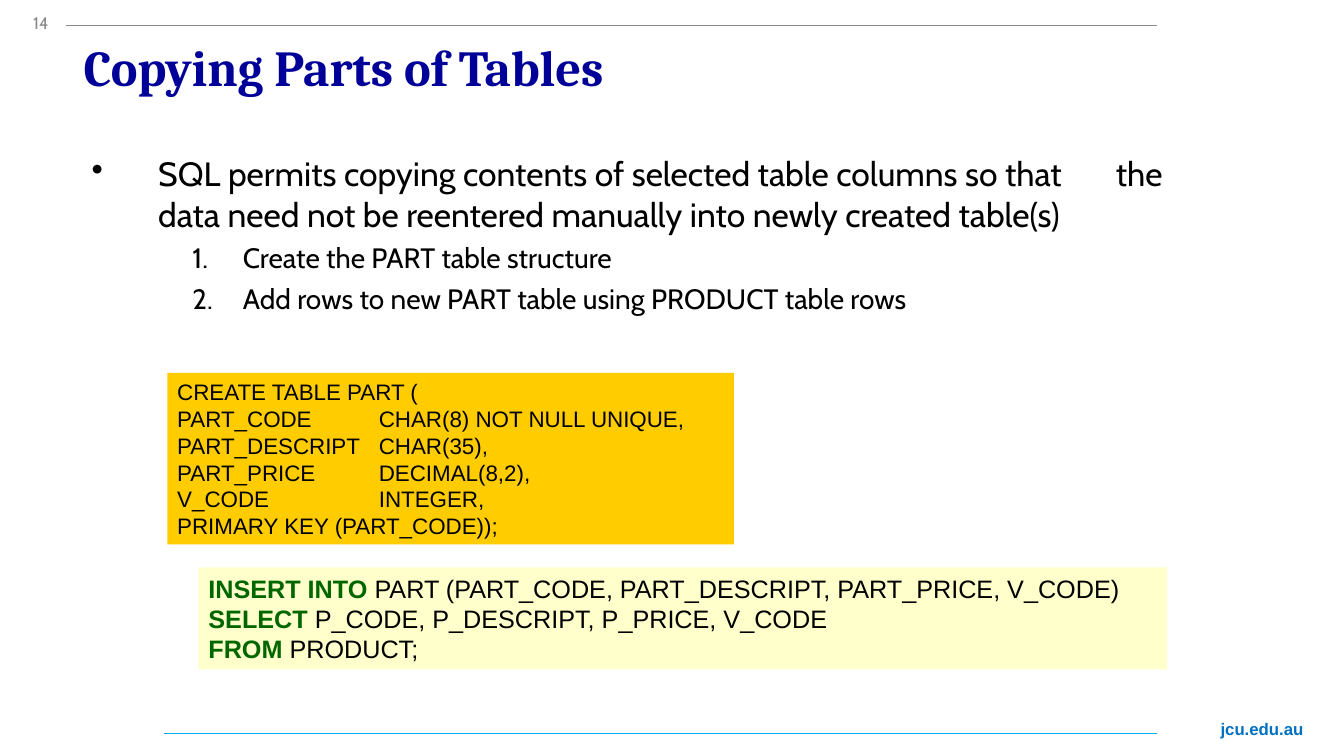
from dataclasses import dataclass

from lxml.etree import SubElement
from pptx import Presentation
from pptx.dml.color import RGBColor
from pptx.enum.shapes import MSO_CONNECTOR, MSO_SHAPE
from pptx.enum.text import MSO_ANCHOR, PP_ALIGN
from pptx.oxml.ns import qn
from pptx.util import Inches, Pt


@dataclass(frozen=True)
class Theme:
    heading_font: str = "Cambria"
    body_font: str = "Cabin"
    code_font: str = "Arial"
    heading: str = "000099"
    ink: str = "000000"
    keyword: str = "006600"
    muted: str = "898989"
    site: str = "0070C0"
    footer_rule: str = "00B0F0"
    create_fill: str = "FFCC00"
    insert_fill: str = "FFFFCC"
    title_size: int = 36
    point_size: int = 24
    step_size: int = 20
    insert_size: int = 18
    create_size: int = 16
    small_size: int = 12


@dataclass(frozen=True)
class Area:
    """Place and size in percent of the slide's width and height."""
    left: float
    top: float
    width: float
    height: float


@dataclass(frozen=True)
class Style:
    font: str
    size: int
    color: str
    bold: bool = False


@dataclass(frozen=True)
class Label:
    area: Area
    text: str
    style: Style
    line_spacing: float = 1.0


@dataclass(frozen=True)
class Rule:
    start: float
    end: float
    height: float
    color: str


@dataclass(frozen=True)
class ListItem:
    phrases: tuple[str, ...]
    level: int
    margin: float
    hanging: float
    space_before: int
    bullet: tuple[str, str, str]
    size: int


@dataclass(frozen=True)
class CodeBox:
    """Each line is a leading keyword, possibly empty, and the rest."""
    area: Area
    fill: str
    size: int
    lines: tuple[tuple[str, str], ...]


THEME = Theme()
WIDTH, HEIGHT = Inches(13.33), Inches(7.5)
WORD_GAP = Pt(33)
CODE_TAB = Inches(2)

LABELS = (
    Label(Area(90.08, 94.4, 7.88, 4), "jcu.edu.au",
          Style(THEME.code_font, THEME.small_size, THEME.site, True)),
    Label(Area(5.48, 5.07, 63.75, 10.53), "Copying Parts of Tables",
          Style(THEME.heading_font, THEME.title_size, THEME.heading, True), 0.9),
    Label(Area(1.73, 1.07, 3.75, 4.93), "14",
          Style(THEME.body_font, THEME.small_size, THEME.muted)),
)
RULES = (
    Rule(12.22, 86.1, 97.07, THEME.footer_rule),
    Rule(4.95, 86.1, 3.33, THEME.muted),
)
BODY_AREA = Area(6.08, 19.6, 85, 63.33)
DOT = ("a:buChar", "char", "•")
NUMBER = ("a:buAutoNum", "type", "arabicPeriod")
ITEMS = (
    ListItem(("SQL permits copying contents of selected table columns so that",
              "the data need not be reentered manually into newly created table(s)"),
             0, 0.66, 0.66, 0, DOT, THEME.point_size),
    *(ListItem((step,), 1, 1.5, 0.5, 5, NUMBER, THEME.step_size)
      for step in ("Create the PART table structure",
                   "Add rows to new PART table using PRODUCT table rows")),
)
CODE_BOXES = (
    CodeBox(Area(12.45, 49.33, 42.15, 22.67), THEME.create_fill, THEME.create_size, (
        ("", "CREATE TABLE PART ("),
        ("", "PART_CODE\tCHAR(8) NOT NULL UNIQUE,"),
        ("", "PART_DESCRIPT\tCHAR(35),"),
        ("", "PART_PRICE\tDECIMAL(8,2),"),
        ("", "V_CODE\tINTEGER,"),
        ("", "PRIMARY KEY (PART_CODE));"))),
    CodeBox(Area(14.77, 75.07, 72.07, 13.47), THEME.insert_fill, THEME.insert_size, (
        ("INSERT INTO", " PART (PART_CODE, PART_DESCRIPT, PART_PRICE, V_CODE)"),
        ("SELECT", " P_CODE, P_DESCRIPT, P_PRICE, V_CODE"),
        ("FROM", " PRODUCT;"))),
)


def across(percent: float) -> int:
    return round(WIDTH * percent / 100)


def down(percent: float) -> int:
    return round(HEIGHT * percent / 100)


def bounds(area: Area) -> tuple[int, int, int, int]:
    return across(area.left), down(area.top), across(area.width), down(area.height)


def set_font(font, style: Style) -> None:
    font.name, font.size, font.bold = style.font, Pt(style.size), style.bold
    font.color.rgb = RGBColor.from_string(style.color)


def add_label(slide, label: Label) -> None:
    frame = slide.shapes.add_textbox(*bounds(label.area)).text_frame
    frame.word_wrap = True
    paragraph = frame.paragraphs[0]
    paragraph.text = label.text
    paragraph.line_spacing = label.line_spacing
    set_font(paragraph.font, label.style)


def add_rule(slide, rule: Rule) -> None:
    y = down(rule.height)
    connector = slide.shapes.add_connector(
        MSO_CONNECTOR.STRAIGHT, across(rule.start), y, across(rule.end), y)
    connector.line.color.rgb = RGBColor.from_string(rule.color)
    connector.line.width = Pt(0.5)
    SubElement(connector._element.spPr, qn("a:effectLst"))


def add_list(slide, area: Area, items: tuple[ListItem, ...]) -> None:
    frame = slide.shapes.add_textbox(*bounds(area)).text_frame
    frame.word_wrap = True
    for index, item in enumerate(items):
        paragraph = frame.add_paragraph() if index else frame.paragraphs[0]
        paragraph.level = item.level
        properties = paragraph._p.get_or_add_pPr()
        properties.set("marL", str(Inches(item.margin)))
        properties.set("indent", str(-Inches(item.hanging)))
        tag, attribute, value = item.bullet
        SubElement(properties, qn(tag)).set(attribute, value)
        paragraph.space_before = Pt(item.space_before)
        set_font(paragraph.font, Style(THEME.body_font, item.size, THEME.ink))
        for position, phrase in enumerate(item.phrases):
            if position:
                gap = paragraph.add_run()
                gap.text = " "
                gap._r.get_or_add_rPr().set("spc", str(round(WORD_GAP.pt * 100)))
            paragraph.add_run().text = phrase


def add_code_box(slide, box: CodeBox) -> None:
    panel = slide.shapes.add_shape(MSO_SHAPE.RECTANGLE, *bounds(box.area))
    panel.shadow.inherit = False
    panel.fill.solid()
    panel.fill.fore_color.rgb = RGBColor.from_string(box.fill)
    panel.line.fill.background()
    frame = panel.text_frame
    frame.word_wrap = True
    frame.vertical_anchor = MSO_ANCHOR.MIDDLE
    for index, (keyword, rest) in enumerate(box.lines):
        paragraph = frame.add_paragraph() if index else frame.paragraphs[0]
        paragraph.alignment = PP_ALIGN.LEFT
        if "\t" in rest:
            stops = SubElement(paragraph._p.get_or_add_pPr(), qn("a:tabLst"))
            SubElement(stops, qn("a:tab"), pos=str(CODE_TAB), algn="l")
        set_font(paragraph.font, Style(THEME.code_font, box.size, THEME.ink))
        if keyword:
            lead = paragraph.add_run()
            lead.text = keyword
            lead.font.bold = True
            lead.font.color.rgb = RGBColor.from_string(THEME.keyword)
        paragraph.add_run().text = rest


def main() -> None:
    deck = Presentation()
    deck.slide_width, deck.slide_height = WIDTH, HEIGHT
    slide = deck.slides.add_slide(deck.slide_layouts[6])
    for rule in RULES:
        add_rule(slide, rule)
    for label in LABELS:
        add_label(slide, label)
    add_list(slide, BODY_AREA, ITEMS)
    for box in CODE_BOXES:
        add_code_box(slide, box)
    deck.save("out.pptx")


if __name__ == "__main__":
    main()
